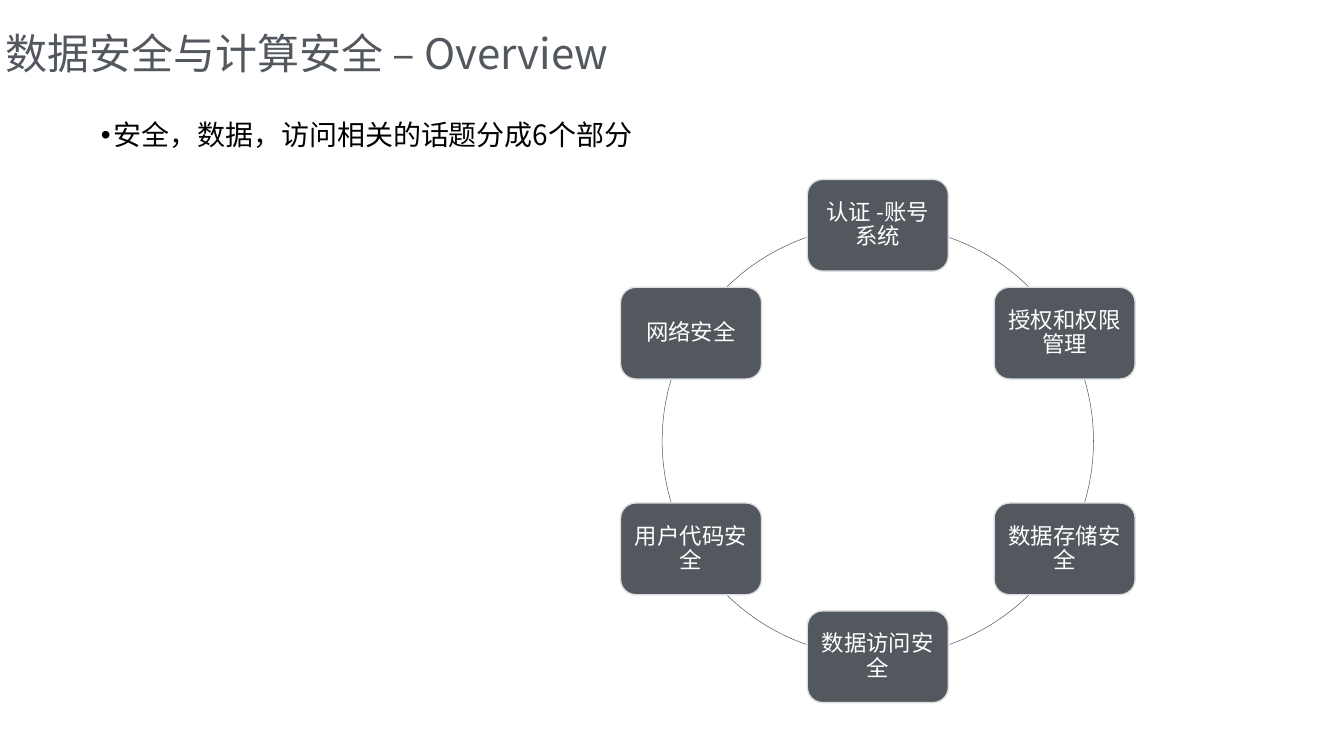
from math import cos, radians, sin

from lxml.etree import SubElement
from pptx import Presentation
from pptx.dml.color import RGBColor
from pptx.enum.shapes import MSO_SHAPE as Shape
from pptx.enum.text import MSO_ANCHOR as Anchor, MSO_AUTO_SIZE as Fit, PP_ALIGN as Align
from pptx.oxml.ns import qn
from pptx.util import Inches, Pt

TITLE = "数据安全与计算安全 – Overview"
POINT = "安全，数据，访问相关的话题分成6个部分"
TOPICS = ["认证 -账号系统", "授权和权限管理", "数据存储安全",
          "数据访问安全", "用户代码安全", "网络安全"]
# Start and end of each arc, in degrees clockwise from three o'clock
ARCS = [(289.4, 314.3), (343.6, 16.4), (45.7, 70.6),
        (109.4, 134.3), (163.6, 196.4), (225.7, 250.6)]

COLORS = {"slate": "53585F", "edge": "DCDEE0", "black": "000000", "white": "FFFFFF"}
FONT = "Noto Sans CJK SC"
MID_X, MID_Y, RADIUS = 17.42, 8.75, 4.28
NODE_W, NODE_H = 2.8, 1.82


def color(name):
    return RGBColor.from_string(COLORS[name])


def put_text(shape, text, size, ink, align=Align.LEFT, anchor=Anchor.MIDDLE,
             pad=(0.1, 0.1), bullet=None):
    frame = shape.text_frame
    frame.word_wrap = True
    frame.auto_size = Fit.NONE
    frame.vertical_anchor = anchor
    frame.margin_left = frame.margin_right = Inches(pad[0])
    frame.margin_top = frame.margin_bottom = Inches(pad[1])
    para = frame.paragraphs[0]
    if bullet:
        props = para._p.get_or_add_pPr()
        props.set("marL", str(Inches(0.25)))
        props.set("indent", str(-Inches(0.25)))
        SubElement(props, qn("a:buChar")).set("char", bullet)
    para.alignment = align
    para.line_spacing = 0.9
    para.space_before = Pt(0)
    run = para.add_run()
    run.text = text
    run.font.size = Pt(size)
    run.font.name = FONT
    run.font.color.rgb = color(ink)
    SubElement(run._r.get_or_add_rPr(), qn("a:ea")).set("typeface", FONT)


def place(shape, *box):
    shape.left, shape.top, shape.width, shape.height = map(Inches, box)


def add_shape(slide, kind, box, line, width):
    shape = slide.shapes.add_shape(kind, *map(Inches, box))
    shape.shadow.inherit = False
    shape.line.color.rgb = color(line)
    shape.line.width = Pt(width)
    return shape


def add_node(slide, text, angle):
    x = MID_X + RADIUS * cos(radians(angle)) - NODE_W / 2
    y = MID_Y + RADIUS * sin(radians(angle)) - NODE_H / 2
    node = add_shape(slide, Shape.ROUNDED_RECTANGLE, (x, y, NODE_W, NODE_H), "edge", 2)
    node.fill.solid()
    node.fill.fore_color.rgb = color("slate")
    put_text(node, text, 32, "white", align=Align.CENTER, pad=(0.13, 0.13))


def add_arc(slide, start, end):
    box = (MID_X - RADIUS, MID_Y - RADIUS, 2 * RADIUS, 2 * RADIUS)
    arc = add_shape(slide, Shape.ARC, box, "slate", 0.75)
    arc.fill.background()
    # One degree is 60000 angle units, and adjustments count in 100000
    arc.adjustments[0] = start * 0.6
    arc.adjustments[1] = end * 0.6


def main():
    deck = Presentation()
    deck.slide_width, deck.slide_height = Inches(26.67), Inches(15)
    slide = deck.slides.add_slide(deck.slide_layouts[1])
    title, body = slide.placeholders
    place(title, 0, 0.45, 23.99, 1.3)
    put_text(title, TITLE, 60, "slate")
    place(body, 1.8, 2.31, 23.98, 12.04)
    put_text(body, POINT, 40, "black", anchor=Anchor.TOP, pad=(0.2, 0.1), bullet="•")

    for i, (topic, arc) in enumerate(zip(TOPICS, ARCS)):
        add_node(slide, topic, i * 360 / len(TOPICS) - 90)
        add_arc(slide, *arc)
    deck.save("out.pptx")


if __name__ == "__main__":
    main()
